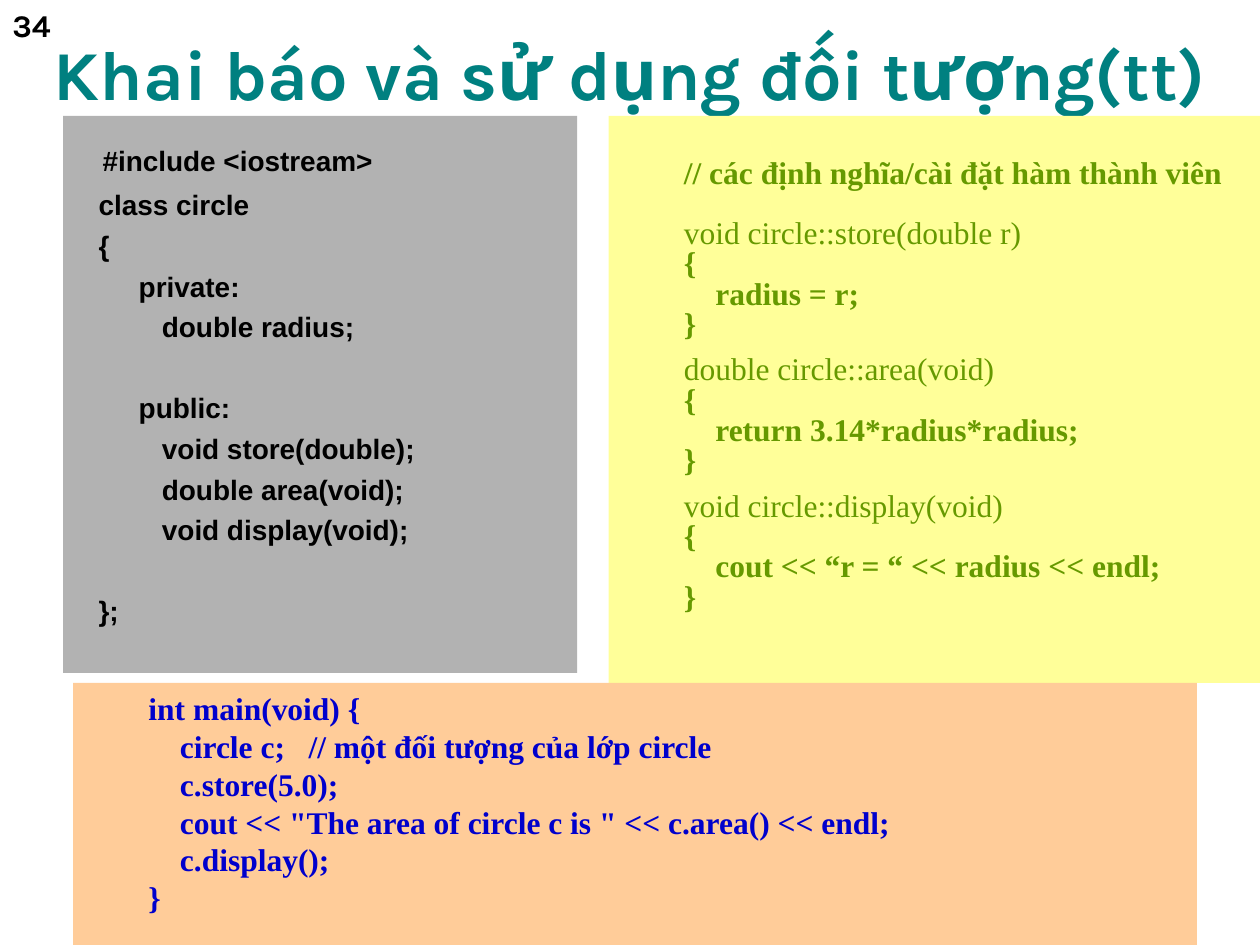
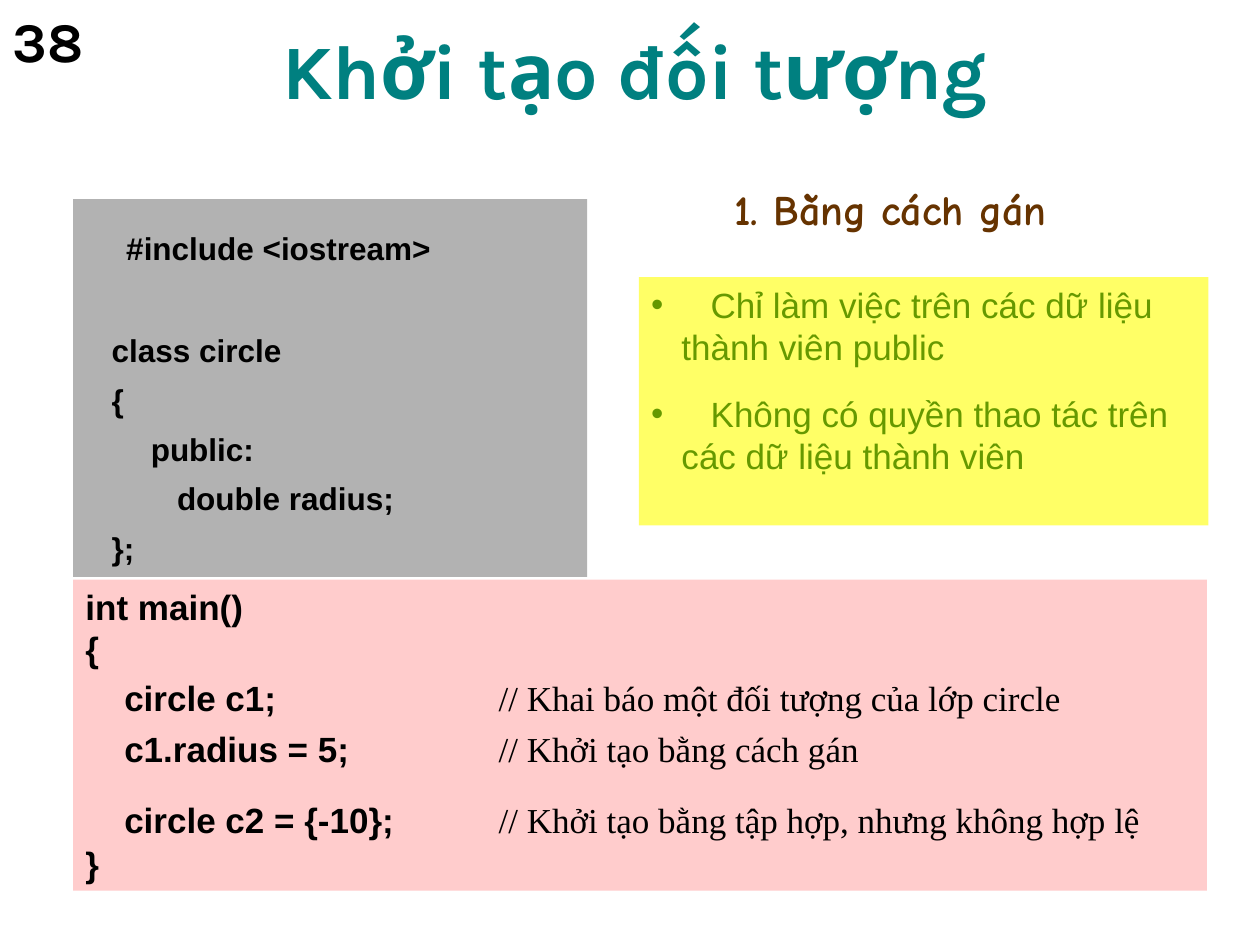
from dataclasses import dataclass

from lxml import etree
from pptx import Presentation
from pptx import util as u
from pptx.dml.color import RGBColor
from pptx.enum import shapes, text
from pptx.oxml.ns import qn


@dataclass(frozen=True)
class Theme:
    title: str = "008080"
    ink: str = "000000"
    green: str = "669900"
    blue: str = "0000CC"
    brown: str = "663300"
    grey_fill: str = "B2B2B2"
    pale_yellow_fill: str = "FFFF99"
    yellow_fill: str = "FFFF66"
    orange_fill: str = "FFCC99"
    pink_fill: str = "FFCCCC"
    head_font: str = "Karla"
    sans: str = "Arial"
    serif: str = "Times New Roman"
    hand: str = "Comic Neue"
    include_lead: int = 28
    body: int = 20
    code: int = 18
    small_code: int = 16
    subhead: int = 24


T = Theme()


def add_run(p, words, font, size, color, bold=True):
    r = p.add_run()
    r.text = words
    r.font.name = font
    r.font.size = u.Pt(size)
    r.font.bold = bold
    r.font.color.rgb = RGBColor.from_string(color)
    return r


def setup_frame(sp, top=0.05):
    tf = sp.text_frame
    tf.word_wrap = True
    tf.vertical_anchor = text.MSO_ANCHOR.TOP
    tf.margin_left = tf.margin_right = u.Inches(0.1)
    tf.margin_top, tf.margin_bottom = u.Inches(top), u.Inches(0.05)
    return tf


def add_box(s, box):
    return setup_frame(s.shapes.add_textbox(*map(u.Inches, box)))


def add_label(s, box, words, font, size, color):
    tf = add_box(s, box)
    add_run(tf.paragraphs[0], words, font, size, color)
    return tf


def add_header(s, box, title, size, number, number_size):
    tf = add_label(s, box, title, T.head_font, size, T.title)
    tf.vertical_anchor = text.MSO_ANCHOR.BOTTOM
    tf.paragraphs[0].alignment = text.PP_ALIGN.CENTER
    add_label(s, (0, 0, 1.08, 0.5), number, T.head_font, number_size, T.ink)


def add_panel(s, box, fill, top=0.05):
    sp = s.shapes.add_shape(shapes.MSO_SHAPE.RECTANGLE, *map(u.Inches, box))
    sp.shadow.inherit = False
    sp.fill.solid()
    sp.fill.fore_color.rgb = RGBColor.from_string(fill)
    sp.line.fill.background()
    return setup_frame(sp, top)


def next_paragraph(tf, before=0, left=0, hanging=0, spacing=None):
    first = tf.paragraphs[0]
    started = bool(first.runs)
    p = tf.add_paragraph() if started else first
    p.alignment = text.PP_ALIGN.LEFT
    if before and started:
        p.space_before = u.Pt(before)
    if spacing:
        p.line_spacing = spacing
    pPr = p._p.get_or_add_pPr()
    pPr.set("marL", str(u.Inches(left)))
    pPr.set("indent", str(-u.Inches(hanging)))
    return p


def add_class_panel(s, box, lead, lines, size, before, gap, spacing):
    tf = add_panel(s, box, T.grey_fill)
    p = next_paragraph(tf, spacing=spacing)
    add_run(p, lead, T.sans, T.include_lead, T.ink)
    add_run(p, "#include <iostream>", T.sans, size, T.ink)
    for left, words, gap_above in lines:
        p = next_paragraph(tf, gap if gap_above else before, left,
                           spacing=spacing)
        add_run(p, words, T.sans, size, T.ink)


def add_member_panel(s, box, comment, functions):
    tf = add_panel(s, box, T.pale_yellow_fill, top=0.35)

    def line(words, bold=True, before=0):
        p = next_paragraph(tf, before, 0.5, spacing=0.8)
        add_run(p, words, T.serif, T.code, T.green, bold)

    line(comment)
    for i, (signature, statement) in enumerate(functions):
        line(signature, False, 8.7 if i else 17.3)
        for words in ("{", "    " + statement, "}"):
            line(words)


def add_main_panel(s, box, lines):
    tf = add_panel(s, box, T.orange_fill)
    for words in lines:
        add_run(next_paragraph(tf, left=0.5), words, T.serif, T.code, T.blue)


def add_commented_panel(s, box, lines, comment_box):
    code_tf = add_panel(s, box, T.pink_fill)
    comment_tf = add_box(s, comment_box)
    for code, comment, before in lines:
        add_run(next_paragraph(code_tf, before), code, T.sans, T.body, T.ink)
        if comment:
            add_run(next_paragraph(comment_tf, before), comment,
                    T.serif, T.body, T.ink, False)


def add_bullet_panel(s, box, items):
    tf = add_panel(s, box, T.yellow_fill)
    for words in items:
        p = next_paragraph(tf, 14.4, 0.24, 0.24)
        pPr = p._p.get_or_add_pPr()
        clr = etree.SubElement(pPr, qn("a:buClr"))
        etree.SubElement(clr, qn("a:srgbClr"), val=T.green)
        etree.SubElement(pPr, qn("a:buFont"), typeface=T.sans)
        etree.SubElement(pPr, qn("a:buChar"), char="•")
        gap = add_run(p, " ", T.sans, T.body, T.green, False)
        gap._r.get_or_add_rPr().set("spc", "1110")
        add_run(p, words, T.sans, T.body, T.green, False)


def build_usage_slide(s):
    add_header(s, (0, 0.17, 10, 0.79), "Khai báo và sử dụng đối tượng(tt)",
               40, "34", 18)
    add_class_panel(s, (0.5, 0.92, 4.08, 4.42), "  ", [
        (0, "   class circle", False),
        (0, "   {", False),
        (0.38, "  private:", False),
        (0.38, "     double radius;", False),
        (0.38, "  public:", True),
        (0.38, "     void store(double);", False),
        (0.38, "     double area(void);", False),
        (0.38, "     void display(void);", False),
        (0, "   };", True),
    ], T.small_code, before=4, gap=27.2, spacing=1.0)
    add_member_panel(s, (4.83, 0.92, 5.17, 4.5),
                     "// các định nghĩa/cài đặt hàm thành viên", [
        ("void circle::store(double r)", "radius = r;"),
        ("double circle::area(void)", "return 3.14*radius*radius;"),
        ("void circle::display(void)", "cout << “r = “ << radius << endl;"),
    ])
    add_main_panel(s, (0.58, 5.42, 8.92, 2.08), [
        "int main(void) {",
        "    circle c;   // một đối tượng của lớp circle",
        "    c.store(5.0);",
        "    cout << \"The area of circle c is \" << c.area() << endl;",
        "    c.display();",
        "}",
    ])


def build_init_slide(s):
    add_header(s, (0.33, 0.17, 9.42, 0.79), "Khởi tạo đối tượng",
               44, "38", 32)
    add_class_panel(s, (0.58, 1.58, 4.08, 3), "   ", [
        (0, "   class circle", True),
        (0, "   {", False),
        (0.38, "  public:", False),
        (0.38, "     double radius;", False),
        (0, "   };", False),
    ], T.code, before=4.5, gap=32.8, spacing=1.1)
    add_commented_panel(s, (0.58, 4.6, 9, 2.47), [
        ("int main()", "", 0),
        ("{", "", 0),
        ("    circle c1;", "// Khai báo một đối tượng của lớp circle", 4),
        ("    c1.radius = 5;", "// Khởi tạo bằng cách gán", 5),
        ("    circle c2 = {-10};",
         "// Khởi tạo bằng tập hợp, nhưng không hợp lệ", 16.8),
        ("}", "", 1),
    ], comment_box=(3.86, 5.32, 5.7, 1.5))
    add_label(s, (5.73, 1.41, 3, 0.5), "1. Bằng cách gán",
              T.hand, T.subhead, T.brown)
    add_bullet_panel(s, (5.07, 2.2, 4.52, 1.97), [
        "Chỉ làm việc trên các dữ liệu thành viên public",
        "Không có quyền thao tác trên các dữ liệu thành viên",
    ])


def main():
    prs = Presentation()
    prs.slide_width, prs.slide_height = u.Inches(10), u.Inches(7.5)
    for build in (build_usage_slide, build_init_slide):
        build(prs.slides.add_slide(prs.slide_layouts[6]))
    prs.save("out.pptx")


if __name__ == "__main__":
    main()
